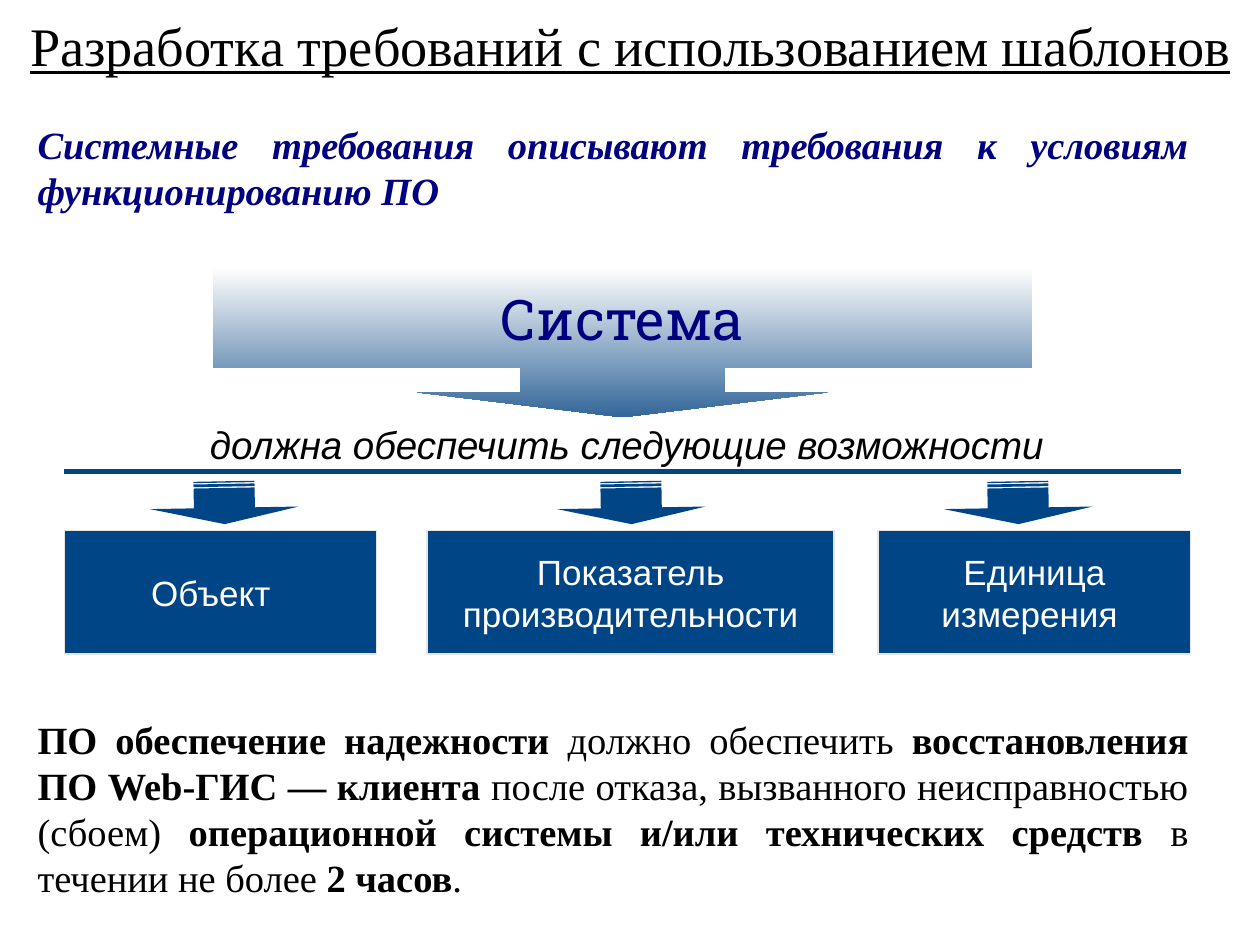
from lxml.etree import SubElement
from pptx import Presentation
from pptx.dml.color import RGBColor
from pptx.enum.shapes import MSO_CONNECTOR, MSO_SHAPE as Shape
from pptx.enum.text import MSO_ANCHOR as Anchor, MSO_AUTO_SIZE as AutoSize, PP_ALIGN as Align
from pptx.oxml.ns import qn
from pptx.util import Pt

BLACK = RGBColor(0x00, 0x00, 0x00)
WHITE = RGBColor(0xFF, 0xFF, 0xFF)
NAVY = RGBColor(0x00, 0x00, 0x80)
BLUE = RGBColor(0x00, 0x45, 0x86)
PALE = RGBColor(0xE6, 0xE6, 0xE6)
FADE_TOP = RGBColor(0xFE, 0xFE, 0xFE)
FADE_BOTTOM = RGBColor(0x33, 0x66, 0x99)
SERIF, SANS, SLAB = "Times New Roman", "Arial", "Roboto Slab"

TITLE = "Разработка требований с использованием шаблонов"
DEFINITION = "Системные требования описывают требования к условиям функционированию ПО"
SYSTEM = "Система"
DUTY = "должна обеспечить следующие возможности"
PARTS = [
    ("Объект", 36.7, 178.6, 128.2, 19),
    ("Показатель производительности", 244.1, 232.6, 360.7, 8),
    ("Единица измерения ", 501.8, 178.6, 581.8, 8),
]
EXAMPLE = [
    ("ПО обеспечение надежности", True),
    (" должно обеспечить ", False),
    ("восстановления ПО Web-ГИС — клиента", True),
    (" после отказа, вызванного неисправностью (сбоем) ", False),
    ("операционной системы и/или технических средств", True),
    (" в течении не более ", False),
    ("2 часов", True),
    (".", False),
]

PART_TOP, PART_HEIGHT = 303.1, 70.6
LINE_LEFT, LINE_RIGHT, LINE_Y = 36.7, 674.6, 269.3
ARROW_LENGTH, ARROW_SPAN, ARROW_MIDDLE = 24.5, 85, 287.3


def write(shape, spans, *, size, font, color, align=Align.CENTER, anchor=Anchor.MIDDLE,
          insets=(7.2, 3.6, 7.2, 3.6), italic=False, underline=False, wrap=True, grow=False):
    frame = shape.text_frame
    frame.word_wrap = wrap
    frame.auto_size = AutoSize.SHAPE_TO_FIT_TEXT if grow else AutoSize.NONE
    frame.vertical_anchor = anchor
    frame.margin_left, frame.margin_top, frame.margin_right, frame.margin_bottom = map(Pt, insets)
    para = frame.paragraphs[0]
    para.alignment = align
    for text, bold in spans:
        span = para.add_run()
        span.text = text
        span.font.name = font
        span.font.size = Pt(size)
        span.font.color.rgb = color
        span.font.bold = bold
        span.font.italic = italic
        span.font.underline = underline


def add_text(page, bounds, spans, **style):
    write(page.shapes.add_textbox(*map(Pt, bounds)), spans, **style)


def add_solid(page, kind, bounds):
    shape = page.shapes.add_shape(kind, *map(Pt, bounds))
    shape.shadow.inherit = False
    shape.fill.solid()
    shape.fill.fore_color.rgb = BLUE
    shape.line.fill.background()
    return shape


def add_system(page):
    callout = add_solid(page, Shape.DOWN_ARROW_CALLOUT, (121.7, 153.4, 468, 85))
    for index, value in enumerate((1.376, 1.376, 0.167, 0.667)):
        callout.adjustments[index] = value
    callout.fill.gradient()
    callout.fill.gradient_angle = 270
    for stop, color, position in zip(callout.fill.gradient_stops, (FADE_TOP, FADE_BOTTOM), (0, 1)):
        stop.color.rgb = color
        stop.position = position
    write(callout, [(SYSTEM, False)], size=32, font=SLAB, color=NAVY, wrap=False)


def add_divider(page):
    divider = page.shapes.add_connector(
        MSO_CONNECTOR.STRAIGHT, Pt(LINE_LEFT), Pt(LINE_Y), Pt(LINE_RIGHT), Pt(LINE_Y))
    divider.line.color.rgb = BLUE
    divider.line.width = Pt(2.83)
    SubElement(divider._element.spPr, qn("a:effectLst"))


def add_part(page, label, left, width, arrow_center, right_inset):
    box = add_solid(page, Shape.RECTANGLE, (left, PART_TOP, width, PART_HEIGHT))
    box.line.color.rgb = PALE
    box.line.width = Pt(0.75)
    write(box, [(label, False)], size=20, font=SANS, color=WHITE, insets=(8, 4.4, right_inset, 4.4))
    arrow = add_solid(page, Shape.STRIPED_RIGHT_ARROW, (
        arrow_center - ARROW_LENGTH / 2, ARROW_MIDDLE - ARROW_SPAN / 2, ARROW_LENGTH, ARROW_SPAN))
    arrow.adjustments[0] = 0.41
    arrow.adjustments[1] = 0.38
    arrow.rotation = 89


def main():
    deck = Presentation()
    deck.slide_width, deck.slide_height = Pt(720), Pt(540)
    page = deck.slides.add_slide(deck.slide_layouts[6])
    add_text(page, (0, -2.9, 720, 56.9), [(TITLE, False)], size=31, font=SERIF, color=BLACK,
             underline=True, insets=(1.4, 1.4, 1.4, 1.4))
    add_text(page, (14.4, 65.5, 671.8, 60.5), [(DEFINITION, True)], size=22, font=SERIF, color=NAVY,
             italic=True, align=Align.JUSTIFY, anchor=Anchor.TOP, grow=True)
    add_text(page, (67.7, 218.2, 581, 70.6), [(DUTY, False)], size=22, font=SANS, color=BLACK,
             italic=True, insets=(10.8, 7.2, 10.8, 7.2))
    add_system(page)
    add_divider(page)
    for part in PARTS:
        add_part(page, *part)
    add_text(page, (14.4, 405.4, 671.8, 113), EXAMPLE, size=22, font=SERIF, color=BLACK,
             align=Align.JUSTIFY, anchor=Anchor.TOP, grow=True)
    deck.save("out.pptx")


if __name__ == "__main__":
    main()
